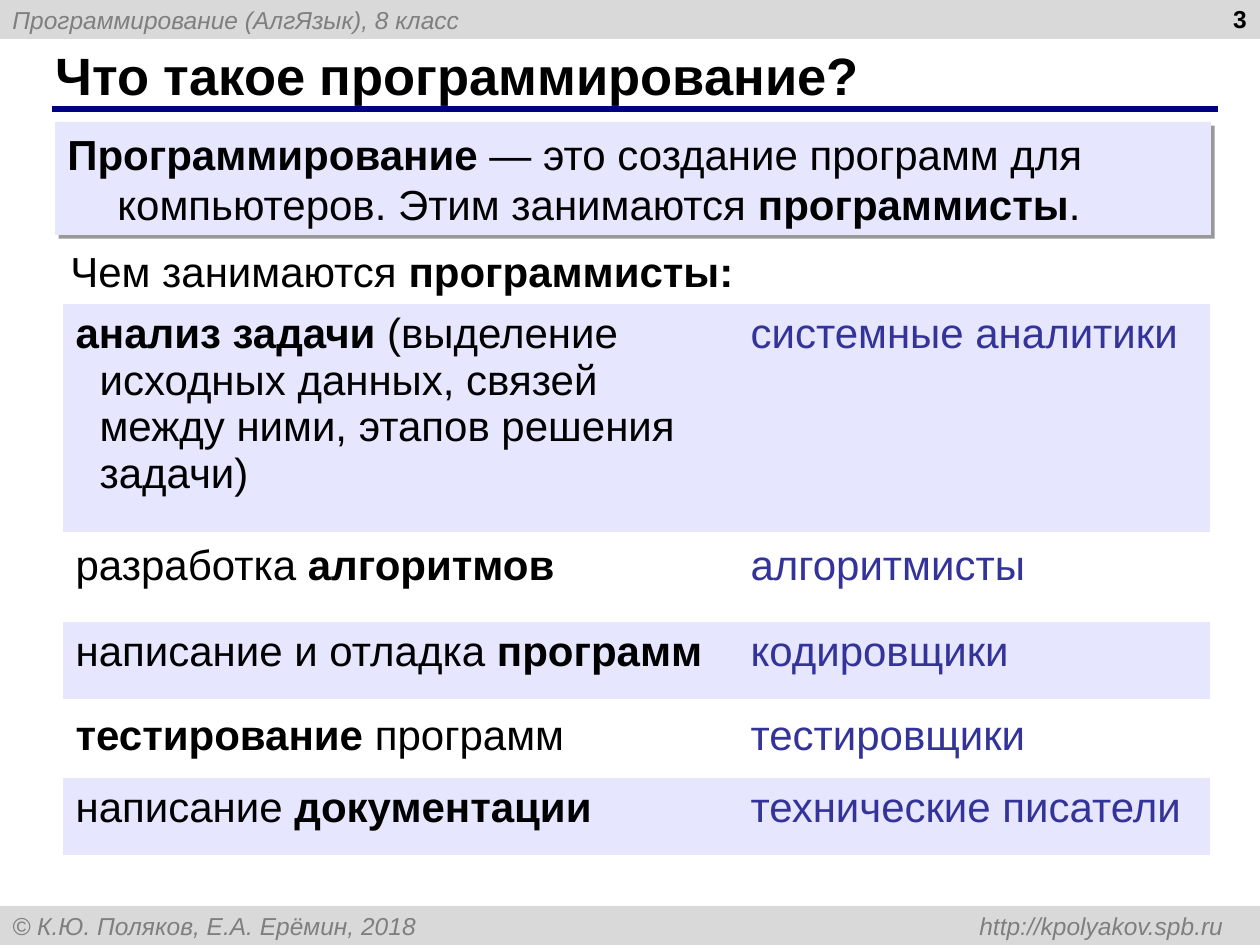
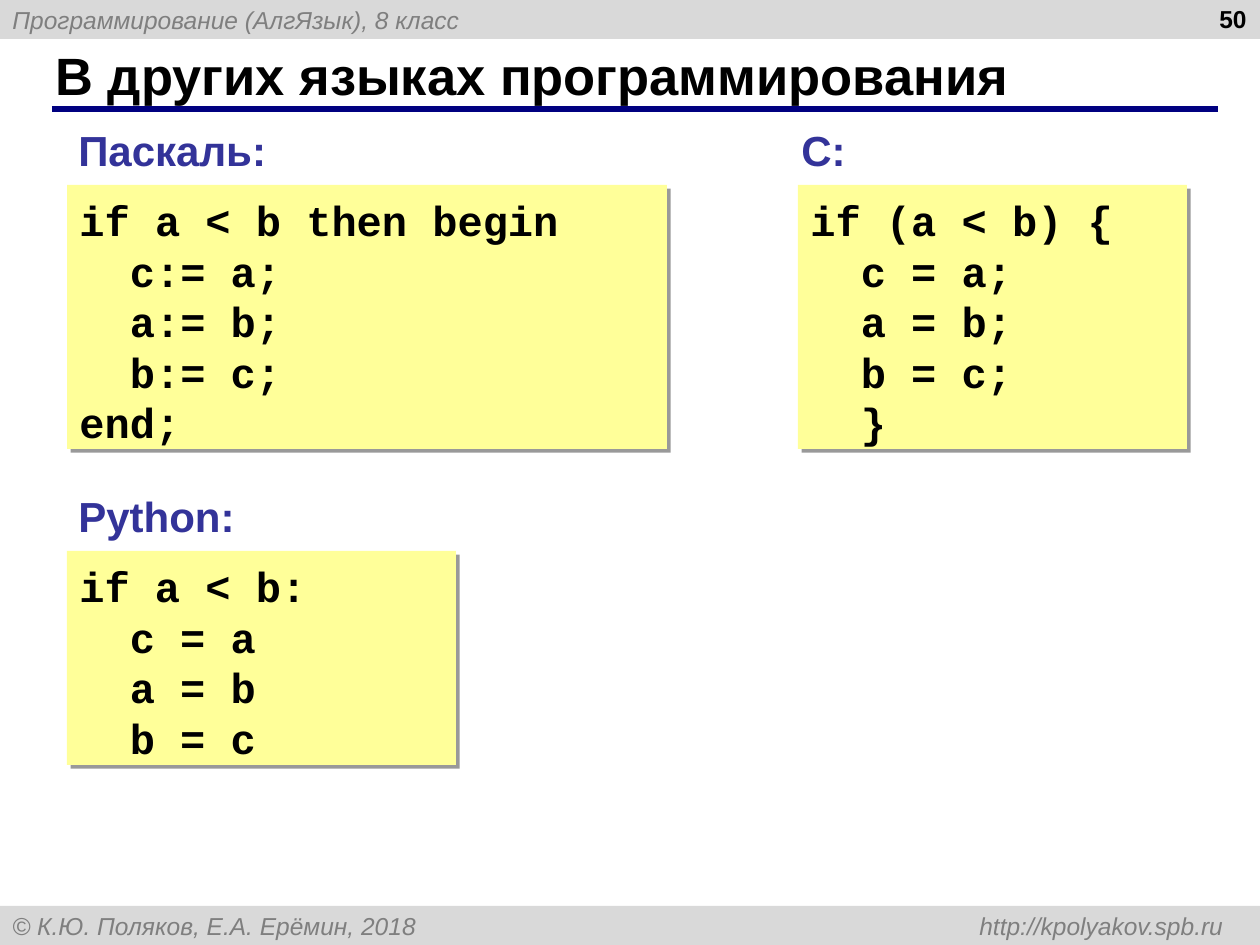
from lxml import etree
from pptx import Presentation
from pptx.dml.color import RGBColor
from pptx.enum.shapes import MSO_CONNECTOR, MSO_SHAPE
from pptx.enum.text import MSO_ANCHOR, PP_ALIGN
from pptx.oxml.ns import qn
from pptx.util import Pt

RECTANGLE = MSO_SHAPE.RECTANGLE
STRAIGHT = MSO_CONNECTOR.STRAIGHT
MIDDLE = MSO_ANCHOR.MIDDLE
RIGHT = PP_ALIGN.RIGHT

SCALE = 914400 / 126
SLIDE_WIDTH, SLIDE_HEIGHT = 1260, 945
BAND_HEIGHT = 39
COLORS = {
    "band": "D9D9D9", "muted": "7F7F7F", "rule": "000080", "text": "000000",
    "accent": "333399", "lilac": "E6E6FF", "code": "FFFF99",
}
LINE_RATIO = 1.2
TABLE_LINE_RATIO = 1.115
NO_TABLE_STYLE = "{2D5ABB26-0587-4C30-8999-92F81FD0307C}"

HEADER = "Программирование (АлгЯзык), 8 класс"
FOOTER = "© К.Ю. Поляков, Е.А. Ерёмин, 2018\thttp://kpolyakov.spb.ru"
FOOTER_TAB = 1211

DEFINITION = ("*Программирование* — это создание программ для компьютеров. "
              "Этим занимаются *программисты*.")
QUESTION = "Чем занимаются *программисты:*"

TABLE_LEFT = 63
TABLE_COLUMNS = (675, 472)
JOBS = [
    (304, 228, "*анализ задачи* (выделение исходных данных, связей между ними, "
               "этапов решения задачи)", "системные аналитики"),
    (536, 77, "разработка *алгоритмов*", "алгоритмисты"),
    (622, 77, "написание и отладка *программ*", "кодировщики"),
    (706, 77, "*тестирование* программ", "тестировщики"),
    (778, 77, "написание *документации*", "технические писатели"),
]

LABEL_HEIGHT = 67
CODE_LINE, CODE_PADDING = 50, 14
LISTINGS = [
    ("Паскаль:", 66, 67, 118, 600,
     ["if a < b then begin", "  c:= a;", "  a:= b;", "  b:= c;", "end;"]),
    ("С:", 789, 798, 118, 389,
     ["if (a < b) {", "  c = a;", "  a = b;", "  b = c;", "  }"]),
    ("Python:", 66, 67, 484, 389,
     ["if a < b:", "  c = a", "  a = b", "  b = c"]),
]


def px(*values):
    return [round(value * SCALE) for value in values]


def rgb(name):
    return RGBColor.from_string(COLORS[name])


def write(text_frame, text, size=24, color="text", font="Arial", bold=False,
          italic=False, ratio=LINE_RATIO, hanging=0):
    text_frame.text = text
    text_frame.word_wrap = True
    for paragraph in text_frame.paragraphs:
        segments = paragraph.text.split("*")
        paragraph.text = ""
        paragraph.line_spacing = Pt(size * ratio)
        if hanging:
            indent = px(hanging)[0]
            properties = paragraph._p.get_or_add_pPr()
            properties.set("marL", str(indent))
            properties.set("indent", str(-indent))
        for index, segment in enumerate(segments):
            if segment:
                run = paragraph.add_run()
                run.text = segment
                run.font.name = font
                run.font.size = Pt(size)
                run.font.bold = bold or index % 2 == 1
                run.font.italic = italic
                run.font.color.rgb = rgb(color)


def add_text(slide, box, text, **style):
    text_frame = slide.shapes.add_textbox(*px(*box)).text_frame
    write(text_frame, text, **style)
    return text_frame


def add_panel(slide, box, fill, text, shadow=True, **style):
    shape = slide.shapes.add_shape(RECTANGLE, *px(*box))
    shape.fill.solid()
    shape.fill.fore_color.rgb = rgb(fill)
    shape.line.fill.background()
    shape.shadow.inherit = False
    if shadow:
        effects = shape._element.spPr.find(qn("a:effectLst"))
        outer = etree.SubElement(effects, qn("a:outerShdw"), blurRad="0",
                                 dist="38100", dir="2700000", algn="tl", rotWithShape="0")
        shade = etree.SubElement(outer, qn("a:srgbClr"), val=COLORS["text"])
        etree.SubElement(shade, qn("a:alpha"), val="40000")
    text_frame = shape.text_frame
    write(text_frame, text, **style)
    for paragraph in text_frame.paragraphs:
        paragraph.alignment = PP_ALIGN.LEFT
    text_frame.vertical_anchor = MSO_ANCHOR.TOP if shadow else MIDDLE
    return text_frame


def add_base_slide(presentation, title, number):
    slide = presentation.slides.add_slide(presentation.slide_layouts[6])
    bands = [
        add_panel(slide, (0, top, SLIDE_WIDTH, BAND_HEIGHT), "band", text,
                  shadow=False, size=14, color="muted", italic=True)
        for top, text in ((0, HEADER), (SLIDE_HEIGHT - BAND_HEIGHT, FOOTER))
    ]
    properties = bands[1].paragraphs[0]._p.get_or_add_pPr()
    tabs = etree.SubElement(properties, qn("a:tabLst"))
    etree.SubElement(tabs, qn("a:tab"), pos=str(px(FOOTER_TAB)[0]), algn="r")

    rule = slide.shapes.add_connector(STRAIGHT, *px(52, 109, 1218, 109))
    rule.line.color.rgb = rgb("rule")
    rule.line.width = Pt(3)
    etree.SubElement(rule._element.spPr, qn("a:effectLst"))

    heading = add_text(slide, (43, 42, 1154, 66), title, size=30, bold=True)
    heading.vertical_anchor = MIDDLE
    page = add_text(slide, (965, -2, 294, 65), number, size=14, bold=True)
    page.paragraphs[0].alignment = RIGHT
    return slide


def add_job(slide, top, height, task, person, shaded):
    box = px(TABLE_LEFT, top, sum(TABLE_COLUMNS), height)
    table = slide.shapes.add_table(1, len(TABLE_COLUMNS), *box).table
    table.first_row = table.horz_banding = False
    table._tbl.tblPr.find(qn("a:tableStyleId")).text = NO_TABLE_STYLE
    for column, width in zip(table.columns, px(*TABLE_COLUMNS)):
        column.width = width
    for cell, text, color, hanging in zip(
            table.rows[0].cells, (task, person), ("text", "accent"), (24, 0)):
        write(cell.text_frame, text, color=color, hanging=hanging, ratio=TABLE_LINE_RATIO)
        cell.text_frame.paragraphs[0].space_after = Pt(6)
        if shaded:
            cell.fill.solid()
            cell.fill.fore_color.rgb = rgb("lilac")
        else:
            cell.fill.background()


def add_listing(slide, label, label_left, code_left, top, width, lines):
    add_text(slide, (label_left, top, 213, 63), label, color="accent", bold=True)
    height = len(lines) * CODE_LINE + CODE_PADDING
    text_frame = add_panel(slide, (code_left, top + LABEL_HEIGHT, width, height), "code",
                           "\n".join(lines), font="Courier New", bold=True)
    text_frame.margin_top, text_frame.margin_bottom = px(10, 2)


def main():
    presentation = Presentation()
    presentation.slide_width, presentation.slide_height = px(SLIDE_WIDTH, SLIDE_HEIGHT)

    slide = add_base_slide(presentation, "Что такое программирование?", "3")
    add_panel(slide, (55, 122, 1156, 113), "lilac", DEFINITION, hanging=50)
    add_text(slide, (58, 239, 708, 63), QUESTION)
    for index, job in enumerate(JOBS):
        add_job(slide, *job, shaded=index % 2 == 0)

    slide = add_base_slide(presentation, "В других языках программирования", "50")
    for listing in LISTINGS:
        add_listing(slide, *listing)

    presentation.save("out.pptx")


if __name__ == "__main__":
    main()
